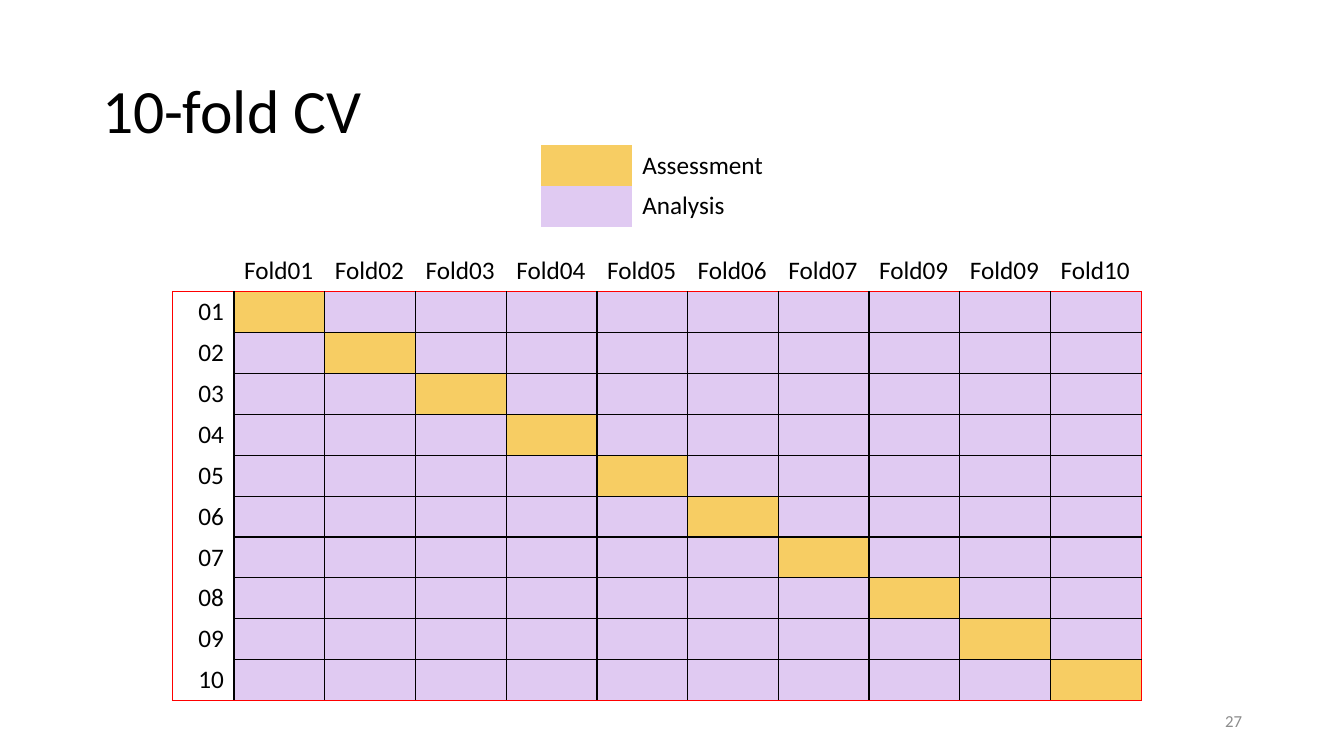
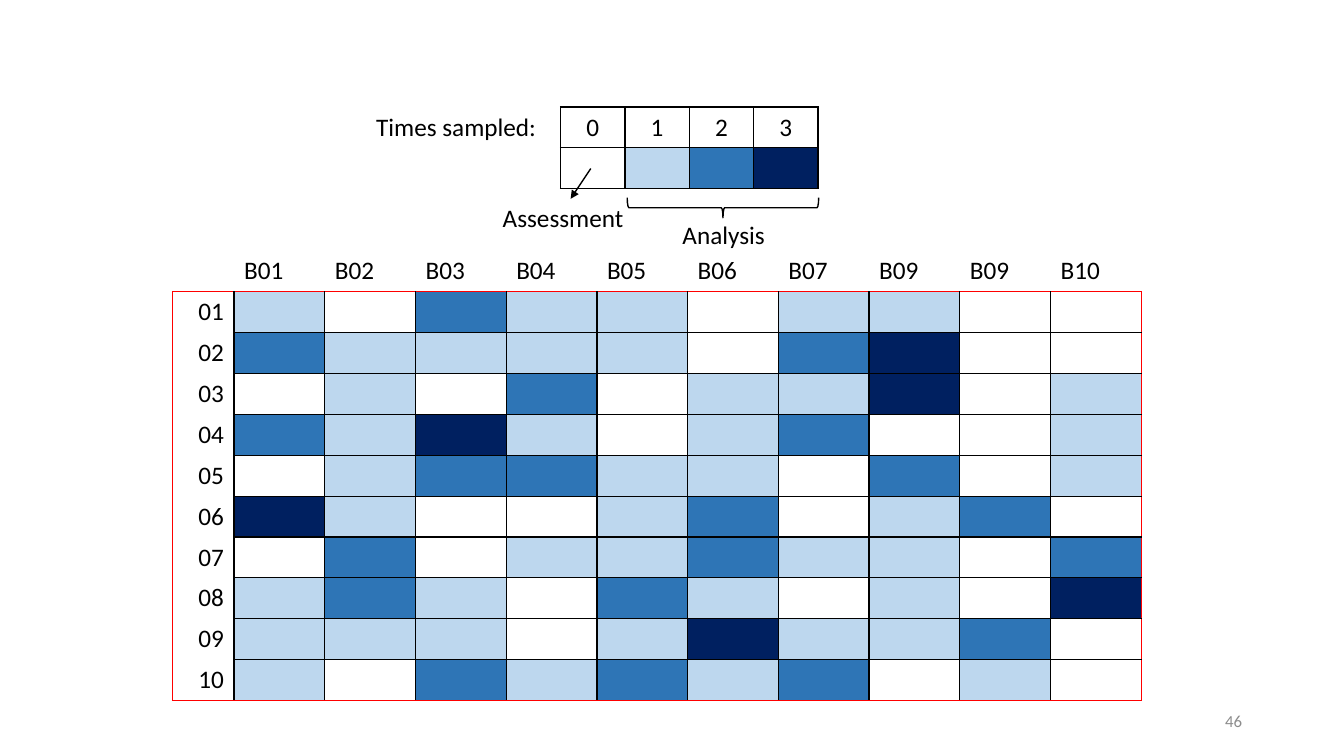
from dataclasses import dataclass, field

from pptx import Presentation
from pptx.dml.color import RGBColor
from pptx.enum.shapes import MSO_CONNECTOR as Connector, MSO_SHAPE as Preset
from pptx.enum.text import MSO_ANCHOR as Anchor, PP_ALIGN as Align
from pptx.oxml.ns import qn
from pptx.oxml.xmlchemy import OxmlElement
from pptx.util import Emu, Pt

EMU_PER_PX = 5080
PLAIN_TABLE_STYLE = "{2D5ABB26-0587-4C30-8999-92F81FD0307C}"
NUMBERS = [f"{number:02d}" for number in range(1, 11)]
HEADING_NUMBERS = NUMBERS[:7] + ["09", "09", "10"]
TIMES_SAMPLED = [
    "1021101100",
    "2111102300",
    "0102011301",
    "2131012001",
    "0122110201",
    "3100120120",
    "0201121102",
    "1210210103",
    "1110131120",
    "1021212010",
]


@dataclass(frozen=True)
class Theme:
    """Colours, type sizes and line width shared by the slides."""
    font: str = "Calibri"
    title_size: int = 44
    body_size: int = 18
    number_size: int = 12
    line_width: int = 1
    ink: str = "000000"
    muted: str = "8C8C8C"
    frame: str = "FF0000"
    assessment: str = "F7CD63"
    analysis: str = "E0CAF2"
    samples: tuple = (None, "BDD7EE", "2E75B6", "002060")


THEME = Theme()


@dataclass
class Cell:
    """Content and look of one table cell; borders map an edge to a colour."""
    text: str = ""
    fill: str = None
    align: Align = Align.LEFT
    anchor: Anchor = Anchor.TOP
    borders: dict = field(default_factory=dict)


def px(length):
    """Turn px into EMU."""
    return Emu(length * EMU_PER_PX)


def rgb(colour):
    """Turn a hex string into a colour."""
    return RGBColor.from_string(colour)


def style_paragraph(paragraph, size, colour=THEME.ink, align=Align.LEFT):
    """Set the font and alignment of a paragraph."""
    paragraph.alignment = align
    paragraph.font.name = THEME.font
    paragraph.font.size = Pt(size)
    paragraph.font.color.rgb = rgb(colour)


def add_text(slide, box, text, size=THEME.body_size, anchor=Anchor.TOP, **style):
    """Add a one-paragraph text box and return its paragraph."""
    frame = slide.shapes.add_textbox(*map(px, box)).text_frame
    frame.word_wrap = True
    frame.vertical_anchor = anchor
    paragraph = frame.paragraphs[0]
    paragraph.text = text
    style_paragraph(paragraph, size, **style)
    return paragraph


def add_border(properties, edge, colour):
    """Append one cell border, or an invisible one when there is no colour."""
    line = OxmlElement(f"a:ln{edge}")
    line.set("w", str(Pt(THEME.line_width)))
    fill = OxmlElement("a:solidFill" if colour else "a:noFill")
    if colour:
        value = OxmlElement("a:srgbClr")
        value.set("val", colour)
        fill.append(value)
    line.append(fill)
    properties.append(line)


def fill_cell(target, cell):
    """Write a cell's borders, fill and text."""
    properties = target._tc.get_or_add_tcPr()
    for edge in "LRTB":
        add_border(properties, edge, cell.borders.get(edge))
    if cell.fill:
        target.fill.solid()
        target.fill.fore_color.rgb = rgb(cell.fill)
    else:
        target.fill.background()
    target.vertical_anchor = cell.anchor
    target.text = cell.text
    style_paragraph(target.text_frame.paragraphs[0], THEME.body_size, align=cell.align)


def add_table(slide, left, top, widths, row_height, rows):
    """Add a table from rows of cells."""
    box = (left, top, sum(widths), row_height * len(rows))
    table = slide.shapes.add_table(len(rows), len(widths), *map(px, box)).table
    table.first_row = table.horz_banding = False
    table._tbl.tblPr.find(qn("a:tableStyleId")).text = PLAIN_TABLE_STYLE
    for column, width in zip(table.columns, widths):
        column.width = px(width)
    for row_index, row in enumerate(rows):
        table.rows[row_index].height = px(row_height)
        for column_index, cell in enumerate(row):
            fill_cell(table.cell(row_index, column_index), cell)


def add_resample_grid(slide, left, top, prefix, fills):
    """Add the framed grid of samples by resample."""
    rows = [[Cell(borders={"B": THEME.frame})]]
    rows[0] += [Cell(prefix + number, borders={"B": THEME.frame}) for number in HEADING_NUMBERS]
    last = len(fills) - 1
    for index, (number, colours) in enumerate(zip(NUMBERS, fills)):
        outer = {}
        if index == 0:
            outer["T"] = THEME.frame
        if index == last:
            outer["B"] = THEME.frame
        label_borders = {"L": THEME.frame, "R": THEME.ink} | outer
        row = [Cell(number, align=Align.RIGHT, borders=label_borders)]
        for column, colour in enumerate(colours):
            borders = dict.fromkeys("LRTB", THEME.ink) | outer
            if column == len(colours) - 1:
                borders["R"] = THEME.frame
            row.append(Cell(fill=colour, borders=borders))
        rows.append(row)
    add_table(slide, left, top, [110] + [162] * len(HEADING_NUMBERS), 73, rows)


def add_fold_legend(slide, left, top):
    """Add the two-colour key for the folds."""
    entries = [("Assessment", THEME.assessment), ("Analysis", THEME.analysis)]
    rows = [[Cell(fill=colour), Cell(name)] for name, colour in entries]
    add_table(slide, left, top, [162, 252], 73, rows)


def add_arrow(slide, start, end):
    """Add a straight arrow between two points."""
    arrow = slide.shapes.add_connector(Connector.STRAIGHT, *map(px, start + end))
    arrow.line.color.rgb = rgb(THEME.ink)
    arrow.line.width = Pt(THEME.line_width)
    head = OxmlElement("a:tailEnd")
    head.set("type", "triangle")
    arrow.line._get_or_add_ln().append(head)
    arrow._element.spPr.append(OxmlElement("a:effectLst"))


def add_brace(slide, box):
    """Add a brace that points down, given its box before rotation."""
    brace = slide.shapes.add_shape(Preset.RIGHT_BRACE, *map(px, box))
    brace.rotation = 90
    brace.shadow.inherit = False
    brace.fill.background()
    brace.line.color.rgb = rgb(THEME.ink)
    brace.line.width = Pt(THEME.line_width)


def add_sampling_legend(slide, left, top):
    """Add the key of sampling counts with its two annotations."""
    centred = {"align": Align.CENTER, "anchor": Anchor.MIDDLE}
    beside = {"R": THEME.ink}
    boxed = dict.fromkeys("LRTB", THEME.ink)
    counts = [Cell("Times sampled:", borders=beside, **centred)]
    swatches = [Cell(borders=beside)]
    for count, colour in enumerate(THEME.samples):
        counts.append(Cell(str(count), borders=boxed, **centred))
        swatches.append(Cell(fill=colour, borders=boxed))
    widths = [373] + [115] * len(THEME.samples)
    add_table(slide, left, top, widths, 73, [counts, swatches])
    add_arrow(slide, (left + 427, top + 110), (left + 391, top + 164))
    add_text(slide, (left + 252, top + 162, 279, 73), "Assessment")
    add_text(slide, (left + 573, top + 191, 279, 73), "Analysis")
    add_brace(slide, (left + 645, top + 9, 36, 342))


def add_slide(presentation, number, title=None):
    """Add a blank slide with its number and, if given, its title."""
    slide = presentation.slides.add_slide(presentation.slide_layouts[6])
    if title:
        heading = add_text(slide, (165, 72, 2070, 261), title, THEME.title_size, Anchor.MIDDLE)
        heading.line_spacing = 0.9
    add_text(slide, (1696, 1251, 540, 72), number, THEME.number_size, Anchor.MIDDLE,
             colour=THEME.muted, align=Align.RIGHT)
    return slide


def build_fold_slide(presentation):
    """Build the cross-validation slide."""
    slide = add_slide(presentation, "27", "10-fold CV")
    size = len(NUMBERS)
    fills = [[THEME.assessment if row == column else THEME.analysis for column in range(size)]
             for row in range(size)]
    add_resample_grid(slide, 308, 448, "Fold", fills)
    add_fold_legend(slide, 967, 259)


def build_bootstrap_slide(presentation):
    """Build the bootstrap slide."""
    slide = add_slide(presentation, "46")
    fills = [[THEME.samples[int(count)] for count in counts] for counts in TIMES_SAMPLED]
    add_resample_grid(slide, 308, 448, "B", fills)
    add_sampling_legend(slide, 628, 191)


def main():
    """Build and save the presentation."""
    presentation = Presentation()
    presentation.slide_width, presentation.slide_height = px(2400), px(1350)
    build_fold_slide(presentation)
    build_bootstrap_slide(presentation)
    presentation.save("out.pptx")


if __name__ == "__main__":
    main()
